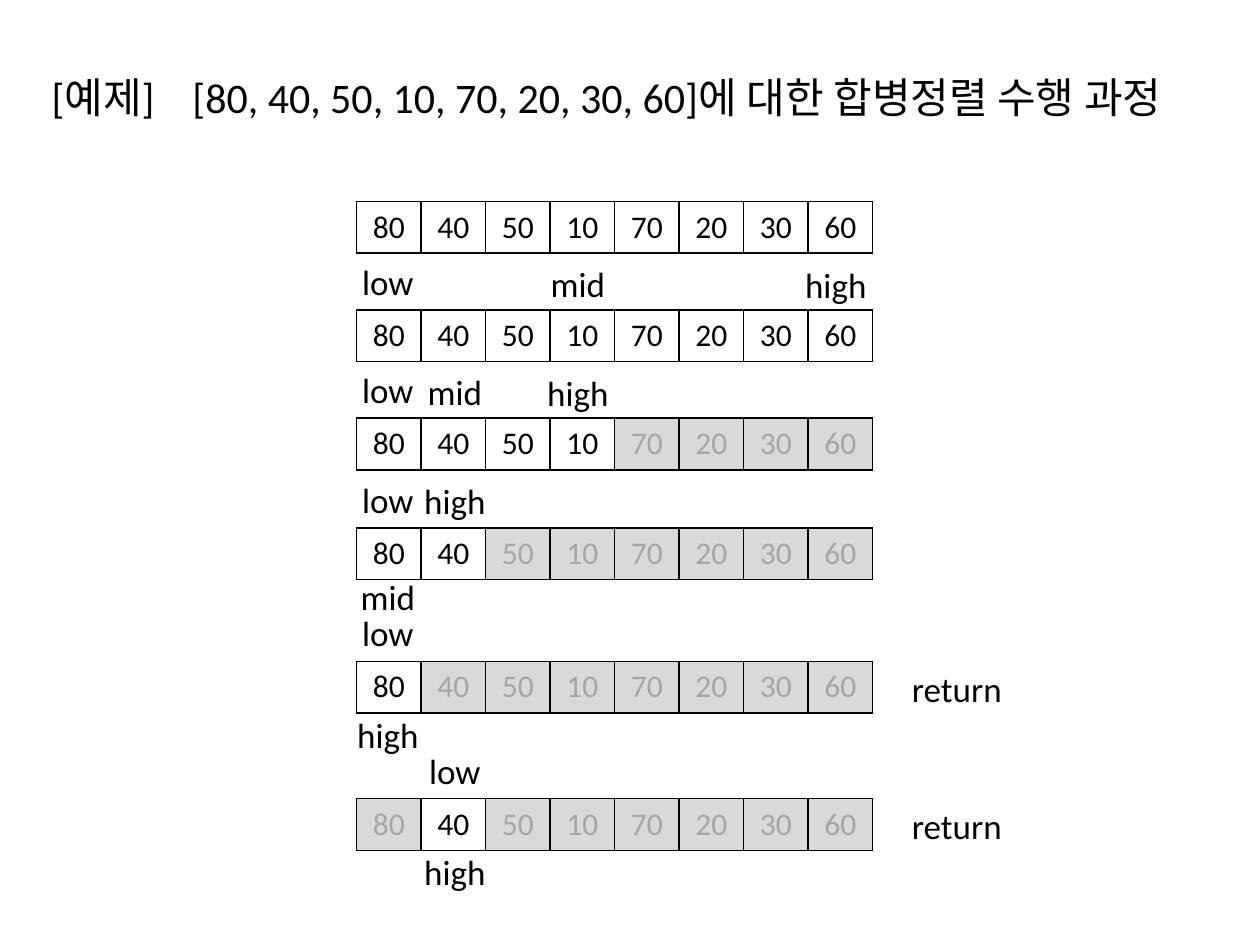
from lxml import etree
from pptx import Presentation
from pptx.dml.color import RGBColor
from pptx.enum import text
from pptx.oxml import ns
from pptx.util import Cm, Pt

BLACK = RGBColor(0x00, 0x00, 0x00)
INACTIVE_TEXT = RGBColor(0xA6, 0xA6, 0xA6)
INACTIVE_FILL = RGBColor(0xD9, 0xD9, 0xD9)

NUMBERS = [80, 40, 50, 10, 70, 20, 30, 60]
ARRAY_LEFT, CELL_WIDTH, CELL_HEIGHT = 7.19, 1.3, 1.04
LABEL_HEIGHT = 1.12
LABEL_WIDTHS = {"low": 1.6, "mid": 1.9, "high": 1.9}
LABEL_CENTRES = {0: 7.82, 1: 9.17, 3: 11.65, 7: 16.85}  # by array index

# top, active indices, labels above, (label, index, overlap) below, returns
STEPS = [
    (4.06, range(8), [], None, False),
    (6.25, range(8), [("low", 0), ("mid", 3), ("high", 7)], None, False),
    (8.43, range(4), [("low", 0), ("mid", 1), ("high", 3)], None, False),
    (10.64, range(2), [("low", 0), ("high", 1)], ("mid", 0, 0.2), False),
    (13.33, [0], [("low", 0)], ("high", 0, 0.12), True),
    (16.1, [1], [("low", 1)], ("high", 1, 0.12), True),
]


class SlideBuilder:
    font_name = "Calibri"

    def __init__(self, slide):
        self.slide = slide

    def style(self, paragraph, size, color=BLACK, align=text.PP_ALIGN.CENTER):
        paragraph.alignment = align
        paragraph.font.name = self.font_name
        paragraph.font.size = Pt(size)
        paragraph.font.color.rgb = color

    def text_box(self, words, left, top, width, height, size=20,
                 align=text.PP_ALIGN.CENTER):
        box = self.slide.shapes.add_textbox(Cm(left), Cm(top), Cm(width), Cm(height))
        frame = box.text_frame
        frame.word_wrap = True
        frame.auto_size = text.MSO_AUTO_SIZE.SHAPE_TO_FIT_TEXT
        paragraph = frame.paragraphs[0]
        paragraph.text = words
        self.style(paragraph, size, align=align)
        return paragraph

    def heading(self, words, tab_stop):
        paragraph = self.text_box(words, 0.79, 1.32, 23.62, 1.27, 24,
                                  text.PP_ALIGN.JUSTIFY)
        properties = paragraph._p.get_or_add_pPr()
        tabs = etree.Element(ns.qn("a:tabLst"))
        etree.SubElement(tabs, ns.qn("a:tab"), pos=str(Cm(tab_stop)), algn="l")
        properties.find(ns.qn("a:defRPr")).addprevious(tabs)

    def label(self, word, index, top):
        width = LABEL_WIDTHS[word]
        self.text_box(word, LABEL_CENTRES[index] - width / 2, top, width, LABEL_HEIGHT)

    def array(self, top, active):
        table = self.slide.shapes.add_table(
            1, len(NUMBERS), Cm(ARRAY_LEFT), Cm(top),
            Cm(CELL_WIDTH * len(NUMBERS)), Cm(CELL_HEIGHT)).table
        table.first_row = table.horz_banding = False
        for index, number in enumerate(NUMBERS):
            cell = table.cell(0, index)
            cell.text = str(number)
            cell.vertical_anchor = text.MSO_ANCHOR.MIDDLE
            is_active = index in active
            self.style(cell.text_frame.paragraphs[0], 18,
                       BLACK if is_active else INACTIVE_TEXT)
            self.borders(cell)
            if is_active:
                cell.fill.background()
            else:
                cell.fill.solid()
                cell.fill.fore_color.rgb = INACTIVE_FILL

    def borders(self, cell):
        """Draw a 1 pt black line on all four sides; call before filling."""
        properties = cell._tc.get_or_add_tcPr()
        for side in ("lnL", "lnR", "lnT", "lnB"):
            line = etree.SubElement(properties, ns.qn(f"a:{side}"), w=str(Pt(1)))
            fill = etree.SubElement(line, ns.qn("a:solidFill"))
            etree.SubElement(fill, ns.qn("a:srgbClr"), val=str(BLACK))


def main():
    deck = Presentation()
    deck.slide_width, deck.slide_height = Cm(25.4), Cm(19.05)
    builder = SlideBuilder(deck.slides.add_slide(deck.slide_layouts[6]))

    builder.heading(f"[예제]\t{NUMBERS}에 대한 합병정렬 수행 과정", tab_stop=2.84)
    for top, active, above, below, returns in STEPS:
        builder.array(top, active)
        for order, (word, index) in enumerate(above):
            builder.label(word, index, top - LABEL_HEIGHT + 0.03 * order)
        if below:
            word, index, overlap = below
            builder.label(word, index, top + CELL_HEIGHT - overlap)
        if returns:
            builder.text_box("return", 17.98, top, 2.62, LABEL_HEIGHT)

    deck.save("out.pptx")


if __name__ == "__main__":
    main()
